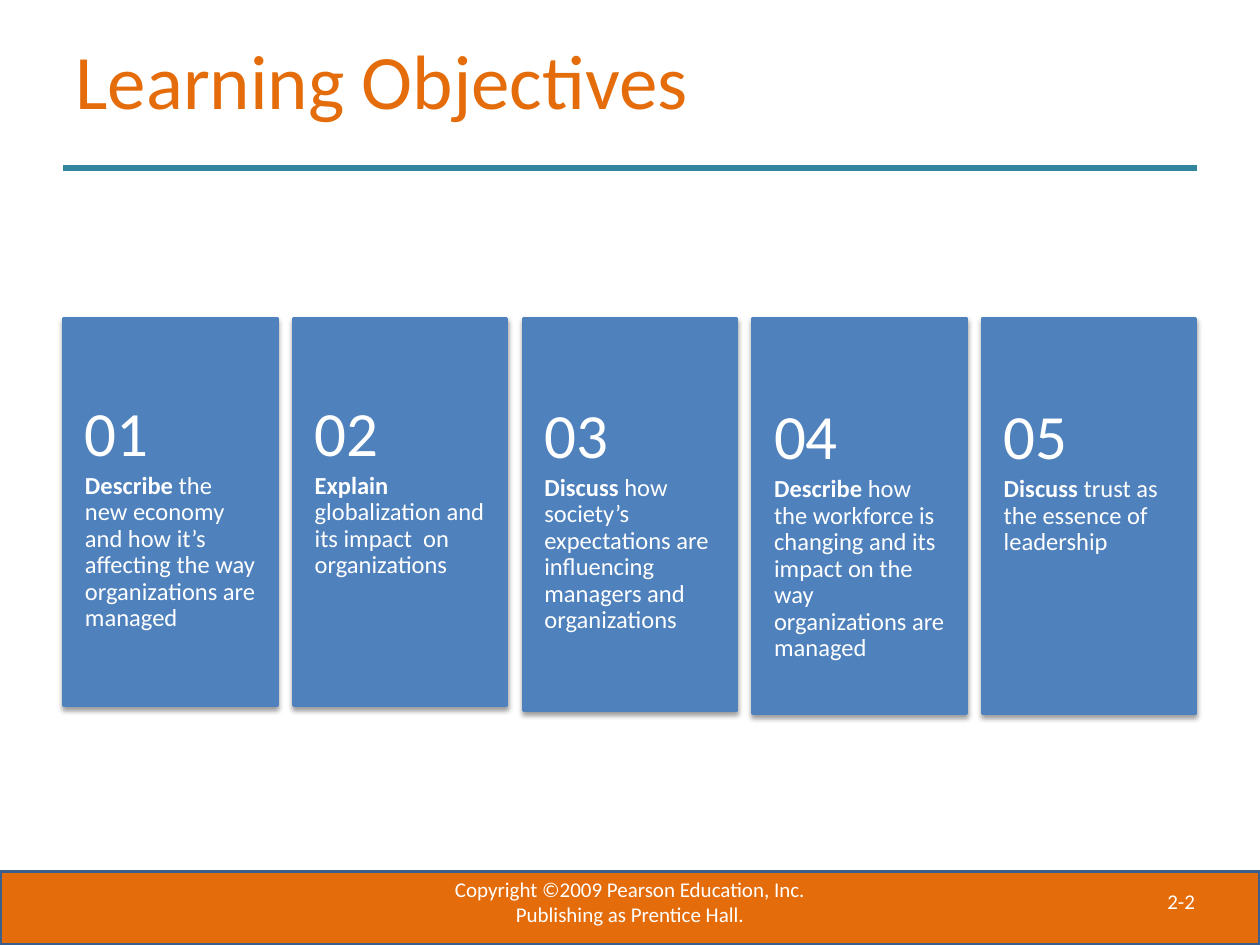
from lxml.etree import SubElement
from pptx import Presentation
from pptx.dml.color import RGBColor
from pptx.enum.shapes import MSO_CONNECTOR, MSO_SHAPE
from pptx.enum.text import MSO_ANCHOR as Anchor, MSO_AUTO_SIZE as AutoSize, PP_ALIGN as Align
from pptx.oxml.ns import qn
from pptx.util import Pt

TITLE = "Learning Objectives"
COPYRIGHT = "Copyright ©2009 Pearson Education, Inc. Publishing as Prentice Hall."
PAGE = "2-2"
# Leading verb, rest of the objective, card height
OBJECTIVES = [
    ("Describe", " the new economy and how it’s affecting the way organizations are managed", 221),
    ("Explain", " globalization and its impact  on organizations", 221),
    ("Discuss", " how society’s expectations are influencing managers and organizations", 224),
    ("Describe", " how the workforce is changing and its impact on the way "
                 "organizations are managed", 225.5),
    ("Discuss", " trust as the essence of leadership", 225.5),
]
THEME = {
    "font": "Calibri",
    "orange": RGBColor.from_string("E46C0A"),
    "teal": RGBColor.from_string("31859C"),
    "blue": RGBColor.from_string("4F81BD"),
    "edge": RGBColor.from_string("3A5F8C"),
    "white": RGBColor.from_string("FFFFFF"),
    "title": 44, "number": 36, "body": 14, "footer": 12,
}
SLIDE_W, SLIDE_H = 720, 540
CARD_X, CARD_Y, CARD_W, CARD_PITCH = 36.6, 182, 121.6, 131.25
NUMBER_H, NUMBER_RISE = 58.3, 50.3  # number box height, and its top above the body
BODY_SHARE = 0.4                    # the body starts this far down the card


def style(runs, size, color="white"):
    for r in runs:
        r.font.name = THEME["font"]
        r.font.size = Pt(THEME[size])
        r.font.color.rgb = THEME[color]


def add_box(slide, x, y, w, h, fill, line):
    sp = slide.shapes.add_shape(MSO_SHAPE.RECTANGLE, Pt(x), Pt(y), Pt(w), Pt(h))
    sp.shadow.inherit = False
    sp.fill.solid()
    sp.fill.fore_color.rgb = THEME[fill]
    sp.line.color.rgb = THEME[line]
    sp.line.width = Pt(2)
    return sp


def add_text(slide, x, y, w, h, texts, size, anchor=Anchor.TOP, insets=None, wrap=True):
    """Add a one-paragraph text box with one run per text."""
    tf = slide.shapes.add_textbox(Pt(x), Pt(y), Pt(w), Pt(h)).text_frame
    tf.word_wrap = wrap
    tf.vertical_anchor = anchor
    if insets:
        tf.margin_left, tf.margin_top, tf.margin_right, tf.margin_bottom = map(Pt, insets)
    p = tf.paragraphs[0]
    for text in texts:
        p.add_run().text = text
    style(p.runs, size)
    return p


def drop_shadow(sp):
    effects = sp._element.spPr.find(qn("a:effectLst"))
    shadow = SubElement(effects, qn("a:outerShdw"), blurRad=str(Pt(3.1)), dist=str(Pt(1.6)),
                        dir="5400000", rotWithShape="0")
    color = SubElement(shadow, qn("a:srgbClr"), val="000000")
    SubElement(color, qn("a:alpha"), val="38000")


def add_card(slide, index, verb, rest, height):
    x = CARD_X + index * CARD_PITCH
    drop_shadow(add_box(slide, x, CARD_Y, CARD_W, height, "blue", "blue"))
    body_y = CARD_Y + BODY_SHARE * height
    body = add_text(slide, x, body_y, CARD_W, (1 - BODY_SHARE) * height, [verb, rest], "body",
                    insets=(12, 0, 12, 26))
    body.runs[0].font.bold = True
    number = add_text(slide, x, body_y - NUMBER_RISE, CARD_W, NUMBER_H, [f"{index + 1:02}"],
                      "number", Anchor.MIDDLE, (12, 13, 12, 13))
    for p in (body, number):
        p.line_spacing = 0.9


def add_title(slide):
    sp = slide.shapes.title
    sp.left, sp.top, sp.width, sp.height = Pt(36), Pt(0), Pt(648), Pt(90)
    tf = sp.text_frame
    tf.text = TITLE
    tf.auto_size = AutoSize.NONE
    tf.vertical_anchor = Anchor.MIDDLE
    tf.paragraphs[0].alignment = Align.LEFT
    style(tf.paragraphs[0].runs, "title", "orange")
    rule = slide.shapes.add_connector(MSO_CONNECTOR.STRAIGHT, Pt(36), Pt(96), Pt(684), Pt(96))
    rule.line.color.rgb = THEME["teal"]
    rule.line.width = Pt(3.5)
    SubElement(rule._element.spPr, qn("a:effectLst"))


def add_footer(slide):
    add_box(slide, 0, 498, SLIDE_W, SLIDE_H - 498, "orange", "edge")
    add_text(slide, 660, 504, 39, 21.6, [PAGE], "footer", wrap=False)
    p = add_text(slide, 246, 500.5, 228, 29, [COPYRIGHT], "footer", Anchor.MIDDLE)
    p.alignment = Align.CENTER
    p.space_after = Pt(6)


def main():
    prs = Presentation()
    prs.slide_width, prs.slide_height = Pt(SLIDE_W), Pt(SLIDE_H)
    slide = prs.slides.add_slide(prs.slide_layouts[5])
    add_title(slide)
    add_footer(slide)
    for i, objective in enumerate(OBJECTIVES):
        add_card(slide, i, *objective)
    prs.save("out.pptx")


if __name__ == "__main__":
    main()
